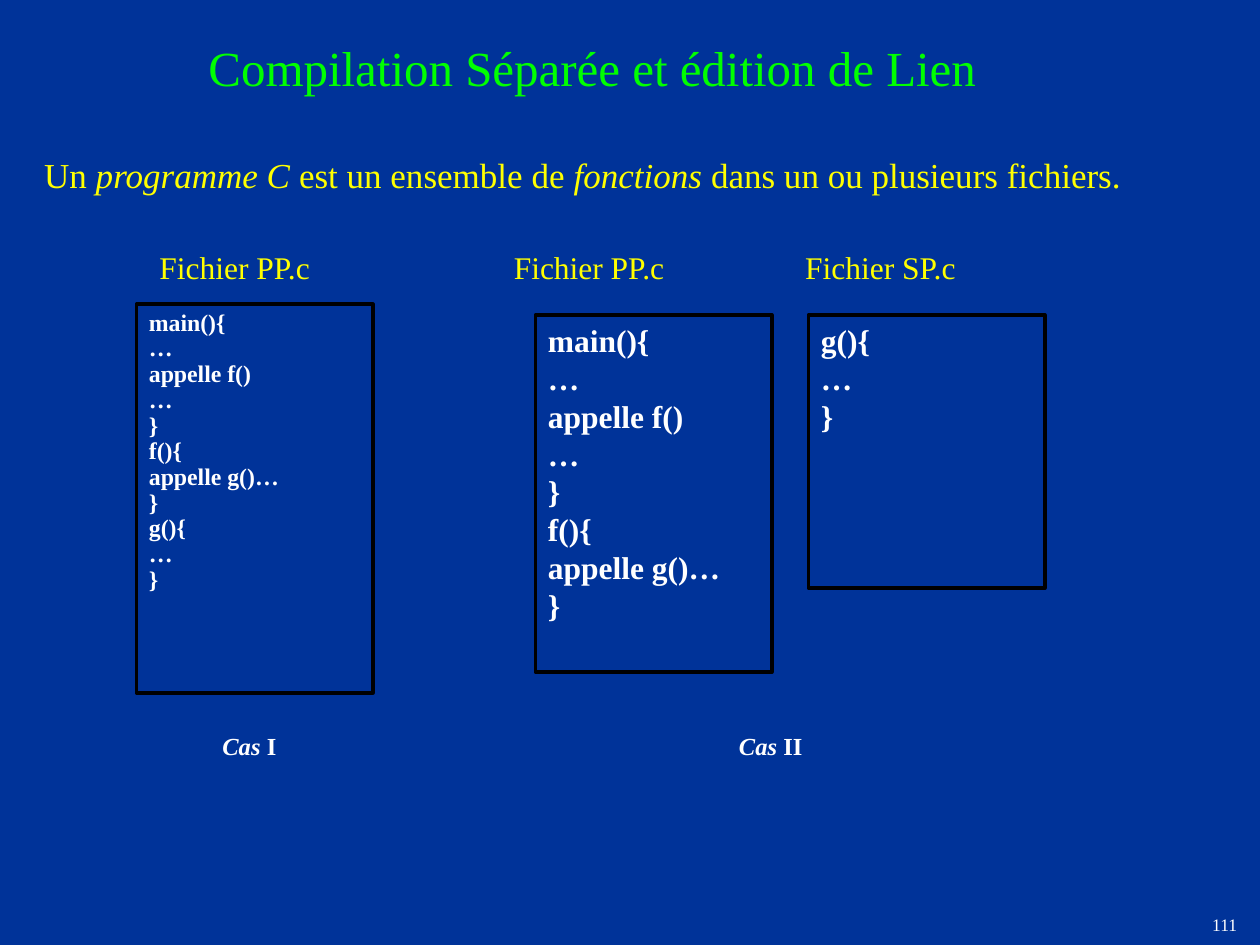
"""Build the slide on separate compilation and linking of C programs."""
from dataclasses import dataclass

from lxml.etree import SubElement
from pptx import Presentation
from pptx.dml.color import RGBColor
from pptx.enum.shapes import MSO_SHAPE
from pptx.enum.text import MSO_ANCHOR, MSO_AUTO_SIZE, PP_ALIGN
from pptx.oxml.ns import qn
from pptx.util import Length, Inches, Pt

NAVY = RGBColor(0x00, 0x33, 0x99)
GREEN = RGBColor(0x00, 0xFF, 0x00)
YELLOW = RGBColor(0xFF, 0xFF, 0x00)
WHITE = RGBColor(0xFF, 0xFF, 0xFF)
BLACK = RGBColor(0x00, 0x00, 0x00)
FONT = "Times New Roman"
WIDTH, HEIGHT = Inches(10), Inches(7.5)
COLUMNS, ROWS = 120, 90

MAIN = ["main(){", "…", "appelle f()", "…", "}", "f(){", "appelle g()…", "}"]
HELPER = ["g(){", "…", "}"]


@dataclass(frozen=True)
class Area:
    """A rectangle in columns and rows of the slide grid."""
    column: float
    row: float
    columns: float
    rows: float

    def lengths(self) -> tuple[Length, ...]:
        """Return left, top, width and height."""
        return (
            Length(round(WIDTH * self.column / COLUMNS)),
            Length(round(HEIGHT * self.row / ROWS)),
            Length(round(WIDTH * self.columns / COLUMNS)),
            Length(round(HEIGHT * self.rows / ROWS)),
        )


@dataclass(frozen=True)
class SourceFile:
    """A framed listing of one source file, with its name above."""
    name: str
    name_column: float
    area: Area
    lines: list[str]
    size: float = 18
    line_spacing: float = 1.0


SOURCE_FILES = [
    SourceFile("Fichier PP.c", 14, Area(13, 29, 22.5, 37), MAIN + HELPER, 13.6, 0.9),
    SourceFile("Fichier PP.c", 47.75, Area(51, 30, 22.5, 34), MAIN),
    SourceFile("Fichier SP.c", 75.5, Area(77, 30, 22.5, 26), HELPER),
]
CASES = [("*Cas *I", 20), ("*Cas *II", 69.2)]


def write(shape, lines: list[str], *, size: float, color: RGBColor,
          bold: bool = False, align: PP_ALIGN = PP_ALIGN.LEFT,
          line_spacing: float = 1.0, anchor: MSO_ANCHOR = MSO_ANCHOR.TOP,
          wrap: bool = True) -> None:
    """Write lines into a shape, with asterisks around italic words."""
    frame = shape.text_frame
    frame.auto_size = MSO_AUTO_SIZE.NONE
    frame.word_wrap = wrap
    frame.vertical_anchor = anchor
    for index, line in enumerate(lines):
        paragraph = frame.add_paragraph() if index else frame.paragraphs[0]
        properties = paragraph._p.get_or_add_pPr()
        properties.set("marL", "0")
        properties.set("indent", "0")
        SubElement(properties, qn("a:buNone"))
        paragraph.alignment = align
        paragraph.line_spacing = line_spacing
        paragraph.space_before = Pt(0)
        for part, text in enumerate(line.split("*")):
            if not text:
                continue
            run = paragraph.add_run()
            run.text = text
            font = run.font
            font.name, font.size = FONT, Pt(size)
            font.bold, font.italic = bold, part % 2 == 1
            font.color.rgb = color


def place(shape, area: Area):
    """Move a placeholder to an area of the grid."""
    shape.left, shape.top, shape.width, shape.height = area.lengths()
    return shape


def add_label(slide, area: Area, text: str, **text_format) -> None:
    """Add a text box holding one line."""
    write(slide.shapes.add_textbox(*area.lengths()), [text], **text_format)


def add_source_file(slide, source: SourceFile) -> None:
    """Add the name, the frame and the code of a source file."""
    add_label(slide, Area(source.name_column, 23, 22.5, 4.8), source.name,
              size=18, color=YELLOW)
    shape = slide.shapes.add_shape(MSO_SHAPE.RECTANGLE, *source.area.lengths())
    shape.shadow.inherit = False
    shape.fill.background()
    shape.line.color.rgb = BLACK
    shape.line.width = Pt(2.25)
    write(shape, source.lines, size=source.size, color=WHITE, bold=True,
          line_spacing=source.line_spacing)


def main() -> None:
    """Create and save the presentation."""
    presentation = Presentation()
    presentation.slide_width, presentation.slide_height = WIDTH, HEIGHT
    slide = presentation.slides.add_slide(presentation.slide_layouts[1])
    slide.background.fill.solid()
    slide.background.fill.fore_color.rgb = NAVY

    title = place(slide.shapes.title, Area(8, 3, 98, 6.8))
    write(title, ["Compilation Séparée et édition de Lien "], size=28,
          color=GREEN, align=PP_ALIGN.CENTER)
    body = place(slide.placeholders[1], Area(3, 14, 110, 5.3))
    write(body, ["Un *programme C *est un ensemble de *fonctions *"
                 "dans un ou plusieurs fichiers."], size=20, color=YELLOW)

    for source in SOURCE_FILES:
        add_source_file(slide, source)
    for text, column in CASES:
        add_label(slide, Area(column, 69, 10, 4.1), text,
                  size=14, color=WHITE, bold=True)
    add_label(slide, Area(104, 86, 15, 4), "111", size=10, color=WHITE,
              align=PP_ALIGN.RIGHT, anchor=MSO_ANCHOR.MIDDLE, wrap=False)
    presentation.save("out.pptx")


if __name__ == "__main__":
    main()
